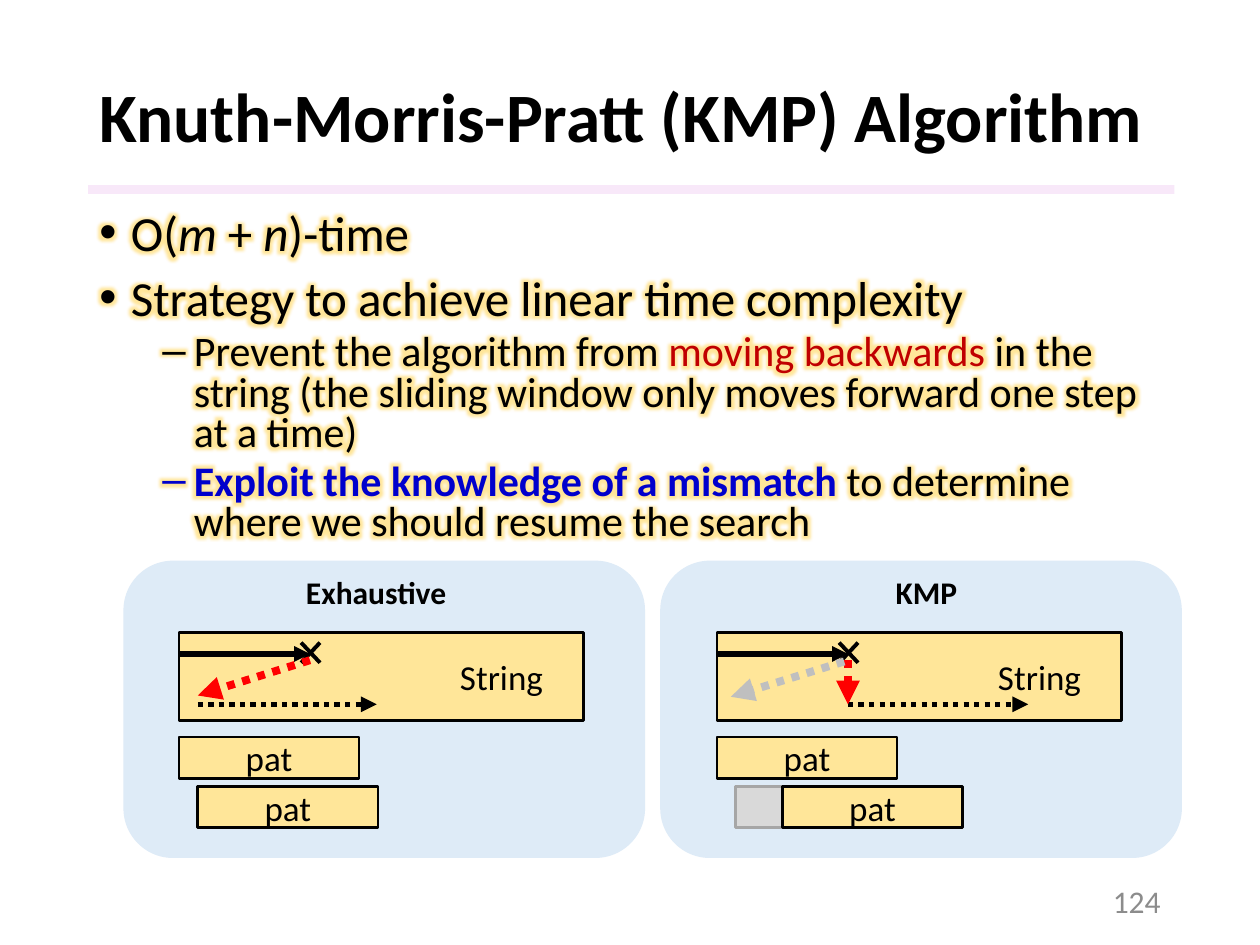
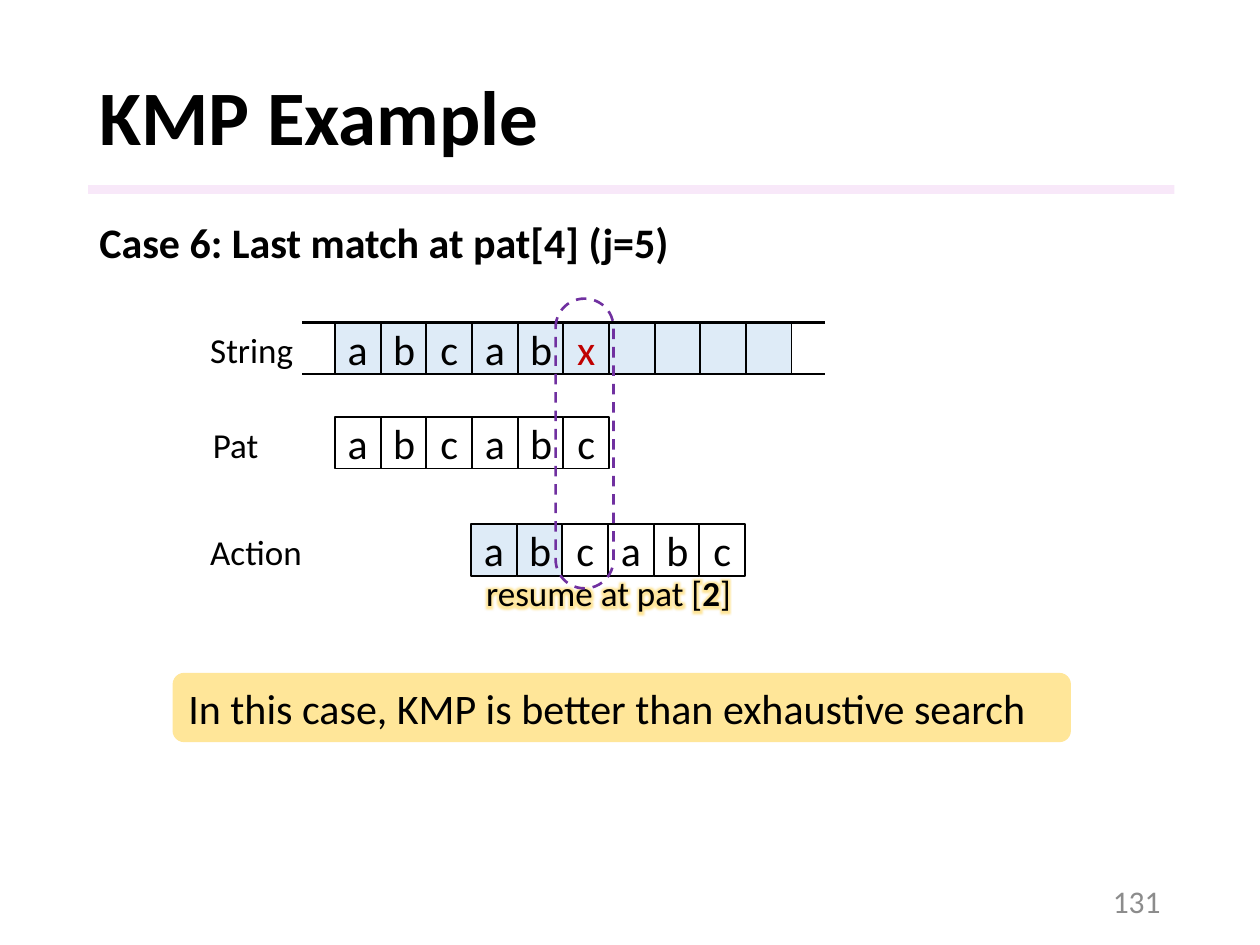
"""Build two slides on the Knuth-Morris-Pratt string search."""
from dataclasses import dataclass
from typing import Optional

from lxml.etree import SubElement
from pptx import Presentation
from pptx.dml.color import RGBColor
from pptx.enum.dml import MSO_LINE
from pptx.enum.shapes import MSO_CONNECTOR, MSO_SHAPE
from pptx.enum.text import MSO_ANCHOR as Anchor, MSO_AUTO_SIZE, PP_ALIGN as Align
from pptx.oxml.ns import qn
from pptx.util import Inches, Pt

FONT = "Calibri"
TITLE_ONLY = 5
BLACK = RGBColor(0x00, 0x00, 0x00)
WHITE = RGBColor(0xFF, 0xFF, 0xFF)
RULE_PINK = RGBColor(0xF3, 0xD2, 0xF4)
PALE_BLUE = RGBColor(0xDE, 0xEB, 0xF7)
SAND = RGBColor(0xFF, 0xE6, 0x99)
PAGE_GRAY = RGBColor(0x8C, 0x8C, 0x8C)
GHOST_FILL = RGBColor(0xD9, 0xD9, 0xD9)
GHOST_LINE = RGBColor(0xA6, 0xA6, 0xA6)
GHOST_ARROW = RGBColor(0xBF, 0xBF, 0xBF)
RED = RGBColor(0xFF, 0x00, 0x00)
DARK_RED = RGBColor(0xC0, 0x00, 0x00)
BLUE = RGBColor(0x00, 0x00, 0xCC)
PURPLE = RGBColor(0x70, 0x30, 0xA0)
GLOW_GOLD = "FFC000"

CELL_WIDTH, CELL_HEIGHT = 0.36, 0.41
CELL_PITCH = 0.3625
STRING_LEFT, STRING_TOP = 2.66, 2.56


@dataclass(frozen=True)
class Box:
    """A rectangle in inches."""
    left: float
    top: float
    width: float
    height: float

    def lengths(self) -> tuple:
        """Return the four lengths for python-pptx."""
        return tuple(Inches(n) for n in (self.left, self.top, self.width, self.height))


@dataclass(frozen=True)
class Span:
    """A stretch of text in one style."""
    text: str
    color: RGBColor = BLACK
    bold: bool = False
    italic: bool = False


@dataclass(frozen=True)
class Bullet:
    """A bulleted paragraph."""
    level: int
    spans: tuple[Span, ...]


@dataclass(frozen=True)
class Level:
    """The style of one bullet level."""
    mark: str
    indent: float
    size: float
    space_before: float


@dataclass(frozen=True)
class Arrow:
    """A dotted jump relative to the left edge of the string."""
    start: tuple[float, float]
    end: tuple[float, float]
    color: RGBColor = RED
    width: float = 4.5


@dataclass(frozen=True)
class Strategy:
    """One search strategy and its drawing."""
    name: str
    name_box: Box
    panel_left: float
    string_left: float
    shift: float
    jumps: tuple[Arrow, ...]
    ghost_shift: Optional[float] = None


@dataclass(frozen=True)
class LetterRow:
    """A labelled row of letter cells."""
    label: str
    label_box: Box
    left: float
    top: float
    letters: str
    shaded: int


LEVELS = (Level("•", 0.25, 28, 10), Level("–", 0.75, 24, 5))
BULLETS = (
    Bullet(0, (Span("O("), Span("m ", italic=True), Span("+ "), Span("n", italic=True), Span(")-time"))),
    Bullet(0, (Span("Strategy to achieve linear time complexity"),)),
    Bullet(1, (
        Span("Prevent the algorithm from"),
        Span(" moving backwards", DARK_RED),
        Span(" in the string (the sliding window only moves forward one step at a time)"),
    )),
    Bullet(1, (
        Span("Exploit the knowledge of a mismatch", BLUE, bold=True),
        Span(" to determine where we should resume the search"),
    )),
)
STRATEGIES = (
    Strategy("Exhaustive", Box(2.33, 4.5, 1.32, 0.4), 0.98, 1.42, 0.15, (
        Arrow((0.15, 5.59), (1.57, 5.59), BLACK, 3),
        Arrow((1.04, 5.24), (0.15, 5.52)),
    )),
    Strategy("KMP", Box(7.01, 4.5, 0.7, 0.4), 5.24, 5.69, 0.52, (
        Arrow((1.04, 5.59), (2.47, 5.59), BLACK, 3),
        Arrow((1.04, 5.24), (1.04, 5.59)),
        Arrow((1.01, 5.25), (0.11, 5.53), GHOST_ARROW),
    ), ghost_shift=0.15),
)
ROWS = (
    LetterRow("String", Box(1.57, 2.56, 0.87, 0.44), STRING_LEFT, STRING_TOP, "abcabx    ", 10),
    LetterRow("Pat", Box(1.59, 3.31, 0.58, 0.44), STRING_LEFT, 3.31, "abcabc", 0),
    LetterRow("Action", Box(1.57, 4.16, 0.94, 0.44), 3.74, 4.16, "abcabc", 2),
)


def write(paragraph, spans: tuple[Span, ...], size: float, glow: bool = False) -> None:
    """Add styled runs to a paragraph."""
    for span in spans:
        run = paragraph.add_run()
        run.text = span.text
        font = run.font
        font.name, font.size = FONT, Pt(size)
        font.bold, font.italic = span.bold, span.italic
        font.color.rgb = span.color
        if glow:
            add_glow(run)


def add_glow(run) -> None:
    """Give a run a soft golden glow."""
    properties = run.font._element
    effects = SubElement(properties, qn("a:effectLst"))
    halo = SubElement(effects, qn("a:glow"), rad=str(Pt(8)))
    color = SubElement(halo, qn("a:srgbClr"), val=GLOW_GOLD)
    SubElement(color, qn("a:alpha"), val="40000")
    properties.find(qn("a:solidFill")).addnext(effects)


def add_shape(slide, box: Box, fill: Optional[RGBColor], line: Optional[RGBColor] = None,
              width: float = 1.5, kind=MSO_SHAPE.RECTANGLE):
    """Add a flat preset shape."""
    shape = slide.shapes.add_shape(kind, *box.lengths())
    shape.shadow.inherit = False
    if fill is None:
        shape.fill.background()
    else:
        shape.fill.solid()
        shape.fill.fore_color.rgb = fill
    if line is None:
        shape.line.fill.background()
    else:
        shape.line.color.rgb = line
        shape.line.width = Pt(width)
    return shape


def label_shape(shape, span: Span, size: float, alignment=Align.CENTER) -> None:
    """Write one line of text in a shape."""
    shape.text_frame.vertical_anchor = Anchor.MIDDLE
    paragraph = shape.text_frame.paragraphs[0]
    paragraph.alignment = alignment
    write(paragraph, (span,), size)


def add_text(slide, box: Box, spans: tuple[Span, ...], size: float, glow: bool = False):
    """Add a single-line text box."""
    text_box = slide.shapes.add_textbox(*box.lengths())
    text_box.text_frame.word_wrap = False
    write(text_box.text_frame.paragraphs[0], spans, size, glow)
    return text_box


def add_line(slide, start: tuple[float, float], end: tuple[float, float], width: float,
             color: RGBColor = BLACK, dotted: bool = False, arrow: bool = False) -> None:
    """Add a straight line, with an arrowhead if wanted."""
    points = [Inches(value) for value in (*start, *end)]
    connector = slide.shapes.add_connector(MSO_CONNECTOR.STRAIGHT, *points)
    connector.line.color.rgb = color
    connector.line.width = Pt(width)
    if dotted:
        connector.line.dash_style = MSO_LINE.ROUND_DOT
    if arrow:
        SubElement(connector.line._get_or_add_ln(), qn("a:tailEnd"), type="triangle")
    SubElement(connector._element.spPr, qn("a:effectLst"))


def add_titled_slide(presentation, title: str, size: float, number: str):
    """Add a slide with its title, rule and page number."""
    slide = presentation.slides.add_slide(presentation.slide_layouts[TITLE_ONLY])
    rule = add_shape(slide, Box(0.7, 1.47, 8.62, 0.07), RULE_PINK)
    color = rule._element.spPr.find(qn("a:solidFill"))[0]
    SubElement(color, qn("a:alpha"), val="50000")
    heading = slide.shapes.title
    heading.left, heading.top, heading.width, heading.height = Box(0.69, 0.4, 8.62, 1.11).lengths()
    heading.text_frame.auto_size = MSO_AUTO_SIZE.NONE
    label_shape(heading, Span(title, bold=True), size, Align.LEFT)
    heading.text_frame.paragraphs[0].line_spacing = 0.9
    page = slide.shapes.add_textbox(*Box(7.06, 6.95, 2.25, 0.4).lengths())
    page.text_frame.word_wrap = True
    label_shape(page, Span(number, PAGE_GRAY), 18, Align.RIGHT)
    return slide


def add_bullets(slide, box: Box) -> None:
    """Add the glowing bullet list."""
    frame = slide.shapes.add_textbox(*box.lengths()).text_frame
    frame.word_wrap = True
    for index, bullet in enumerate(BULLETS):
        level = LEVELS[bullet.level]
        paragraph = frame.add_paragraph() if index else frame.paragraphs[0]
        paragraph.level = bullet.level
        properties = paragraph._p.get_or_add_pPr()
        properties.set("marL", str(Inches(level.indent)))
        properties.set("indent", str(-Inches(0.25)))
        SubElement(properties, qn("a:buFont"), typeface="Arial")
        SubElement(properties, qn("a:buChar"), char=level.mark)
        paragraph.line_spacing = 0.8
        if index:
            paragraph.space_before = Pt(level.space_before)
        write(paragraph, bullet.spans, level.size, glow=True)


def draw_strategy(slide, strategy: Strategy) -> None:
    """Draw how one strategy moves along the string."""
    left = strategy.string_left
    add_shape(slide, Box(strategy.panel_left, 4.45, 4.14, 2.36), PALE_BLUE, kind=MSO_SHAPE.ROUNDED_RECTANGLE)
    add_text(slide, strategy.name_box, (Span(strategy.name, bold=True),), 18)
    string = add_shape(slide, Box(left, 5.02, 3.21, 0.7), SAND, BLACK)
    string.text_frame.margin_right = Inches(0.32)
    label_shape(string, Span("String"), 20, Align.RIGHT)
    if strategy.ghost_shift is not None:
        add_shape(slide, Box(left + strategy.ghost_shift, 6.24, 1.43, 0.33), GHOST_FILL, GHOST_LINE)
    for shift, top in ((0, 5.85), (strategy.shift, 6.24)):
        pattern = add_shape(slide, Box(left + shift, top, 1.43, 0.33), SAND, BLACK)
        label_shape(pattern, Span("pat"), 20)
    add_line(slide, (left, 5.19), (left + 1.04, 5.19), 3, arrow=True)
    for first, last in ((5.1, 5.26), (5.26, 5.1)):
        add_line(slide, (left + 0.97, first), (left + 1.12, last), 2.25)
    for jump in strategy.jumps:
        (start_x, start_y), (end_x, end_y) = jump.start, jump.end
        add_line(slide, (left + start_x, start_y), (left + end_x, end_y),
                 jump.width, jump.color, dotted=True, arrow=True)


def draw_row(slide, row: LetterRow) -> None:
    """Draw a label and its letter cells."""
    add_text(slide, row.label_box, (Span(row.label),), 20)
    for index, letter in enumerate(row.letters):
        box = Box(row.left + index * CELL_PITCH, row.top, CELL_WIDTH, CELL_HEIGHT)
        cell = add_shape(slide, box, PALE_BLUE if index < row.shaded else WHITE, BLACK, 1)
        if letter.strip():
            label_shape(cell, Span(letter, DARK_RED if letter == "x" else BLACK), 24)


def build_algorithm_slide(presentation) -> None:
    """Build the slide comparing both strategies."""
    slide = add_titled_slide(presentation, "Knuth-Morris-Pratt (KMP) Algorithm", 39.6, "124")
    for strategy in STRATEGIES:
        draw_strategy(slide, strategy)
    add_bullets(slide, Box(0.69, 1.65, 8.62, 2.87))


def build_example_slide(presentation) -> None:
    """Build the slide with the worked case."""
    slide = add_titled_slide(presentation, "KMP Example", 44, "131")
    add_text(slide, Box(0.69, 1.67, 4.77, 0.5), (Span("Case 6: Last match at pat[4] (j=5)", bold=True),), 24)
    for row in ROWS:
        draw_row(slide, row)
    for edge in (STRING_TOP, STRING_TOP + CELL_HEIGHT):
        add_line(slide, (2.4, edge), (6.55, edge), 1.5)
    resume = (Span("resume at pat ["), Span("2", bold=True), Span("]"))
    add_text(slide, Box(3.76, 4.49, 2.16, 0.44), resume, 20, glow=True)
    mismatch = add_shape(slide, Box(4.41, 2.37, 0.46, 2.3), None, PURPLE, kind=MSO_SHAPE.ROUNDED_RECTANGLE)
    mismatch.adjustments[0] = 0.5
    mismatch.line.dash_style = MSO_LINE.DASH
    verdict = add_shape(slide, Box(1.37, 5.34, 7.13, 0.55), SAND, kind=MSO_SHAPE.ROUNDED_RECTANGLE)
    label_shape(verdict, Span("In this case, KMP is better than exhaustive search"), 24, Align.LEFT)


def main() -> None:
    """Build and save the presentation."""
    presentation = Presentation()
    presentation.slide_width, presentation.slide_height = Inches(10), Inches(7.5)
    build_algorithm_slide(presentation)
    build_example_slide(presentation)
    presentation.save("out.pptx")


if __name__ == "__main__":
    main()
